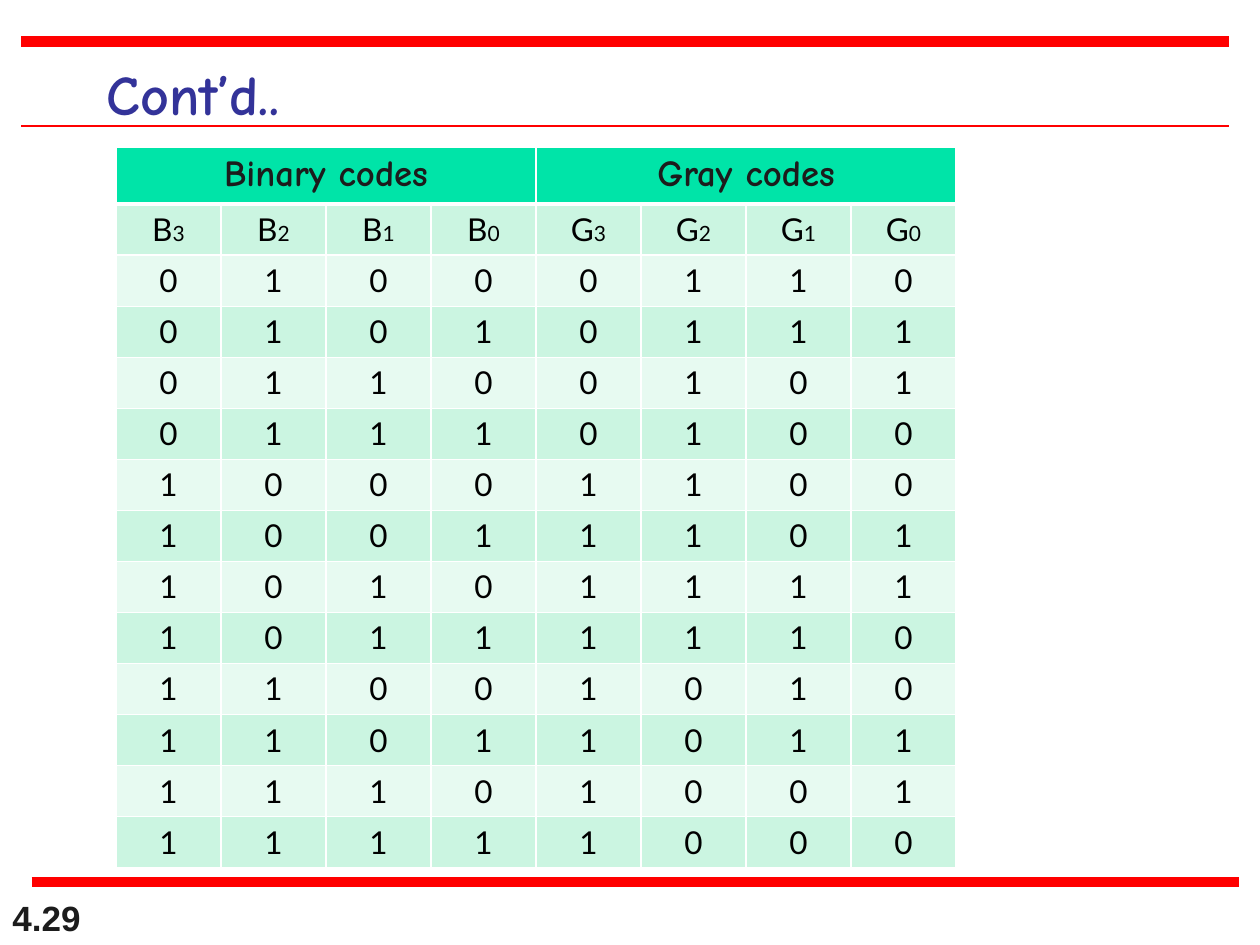
import lxml.etree
import pptx
import pptx.dml.color
import pptx.enum.shapes
import pptx.enum.text
import pptx.oxml.ns
import pptx.util

Inches = pptx.util.Inches
Pt = pptx.util.Pt

TITLE = "Cont’d.."
PAGE_NUMBER = "4.29"
CODE_GROUPS = ["Binary codes", "Gray codes"]
BIT_NAMES = ["B3", "B2", "B1", "B0", "G3", "G2", "G1", "G0"]
CODES = [
    ("0100", "0110"),
    ("0101", "0111"),
    ("0110", "0101"),
    ("0111", "0100"),
    ("1000", "1100"),
    ("1001", "1101"),
    ("1010", "1111"),
    ("1011", "1110"),
    ("1100", "1010"),
    ("1101", "1011"),
    ("1110", "1001"),
    ("1111", "1000"),
]
# left, top, line width in points
RULES = [(0.17, 0.33, 6), (0.25, 7, 6), (0.17, 1, 1.5)]
RULE_LENGTH = 9.58

COLORS = {
    "rule": "FF0000",
    "title": "333399",
    "dark": "1C1C1C",
    "bit": "000000",
    "header": "00E4A8",
    "band_dark": "CBF5E1",
    "band_light": "E7FAF1",
    "border": "FFFFFF",
}
TABLE_LEFT, TABLE_TOP, TABLE_WIDTH = 0.92, 1.17, 6.67
HEADER_HEIGHT, TABLE_HEIGHT = 0.45, 5.72


def color(name):
    return pptx.dml.color.RGBColor.from_string(COLORS[name])


def style(run, face, size, color_name, bold):
    run.font.name = face
    run.font.size = Pt(size)
    run.font.bold = bold
    run.font.color.rgb = color(color_name)


def add_label(slide, text, box, face, size, color_name, anchor):
    frame = slide.shapes.add_textbox(*map(Inches, box)).text_frame
    frame.word_wrap = True
    frame.vertical_anchor = anchor
    frame.text = text
    style(frame.paragraphs[0].runs[0], face, size, color_name, True)


def add_rule(slide, left, top, width):
    rule = slide.shapes.add_connector(
        pptx.enum.shapes.MSO_CONNECTOR.STRAIGHT,
        Inches(left), Inches(top), Inches(left + RULE_LENGTH), Inches(top))
    rule.line.color.rgb = color("rule")
    rule.line.width = Pt(width)
    lxml.etree.SubElement(rule._element.spPr, pptx.oxml.ns.qn("a:effectLst"))


def set_borders(cell, top, bottom):
    """Border widths are in points; the sides are always 1 pt."""
    properties = cell._tc.get_or_add_tcPr()
    sides = [("lnL", 1), ("lnR", 1), ("lnT", top), ("lnB", bottom)]
    for position, (side, width) in enumerate(sides):
        border = pptx.oxml.parse_xml(
            f'<a:{side} {pptx.oxml.ns.nsdecls("a")} w="{Pt(width)}"><a:solidFill>'
            f'<a:srgbClr val="{COLORS["border"]}"/></a:solidFill></a:{side}>')
        properties.insert(position, border)


def fill_cell(cell, parts, face, color_name, bold):
    """Write the (text, size) parts as the runs of one centred paragraph."""
    paragraph = cell.text_frame.paragraphs[0]
    paragraph.alignment = pptx.enum.text.PP_ALIGN.CENTER
    for text, size in parts:
        run = paragraph.add_run()
        run.text = text
        style(run, face, size, color_name, bold)


def add_code_table(slide):
    row_count, column_count = len(CODES) + 2, len(BIT_NAMES)
    table = slide.shapes.add_table(
        row_count, column_count, Inches(TABLE_LEFT), Inches(TABLE_TOP),
        Inches(TABLE_WIDTH), Inches(TABLE_HEIGHT)).table
    table.first_row = table.horz_banding = False

    for column in table.columns:
        column.width = Inches(TABLE_WIDTH / column_count)
    body_height = (TABLE_HEIGHT - HEADER_HEIGHT) / (row_count - 1)
    for r, row in enumerate(table.rows):
        row.height = Inches(body_height if r else HEADER_HEIGHT)
        band = "header" if r == 0 else "band_dark" if r % 2 else "band_light"
        for cell in row.cells:
            cell.fill.solid()
            cell.fill.fore_color.rgb = color(band)
            set_borders(cell, 3 if r == 1 else 1, 3 if r == 0 else 1)

    span = column_count // len(CODE_GROUPS)
    for g, group in enumerate(CODE_GROUPS):
        first = table.cell(0, g * span)
        first.merge(table.cell(0, (g + 1) * span - 1))
        fill_cell(first, [(group, 21)], "Comic Neue", "dark", True)

    bit_rows = [[[(name[0], 18), (name[1], 12)] for name in BIT_NAMES]]
    bit_rows += [[[(bit, 18)] for bit in binary + gray] for binary, gray in CODES]
    for r, bits in enumerate(bit_rows, start=1):
        for c, parts in enumerate(bits):
            fill_cell(table.cell(r, c), parts, "Lato", "bit", False)


def main():
    deck = pptx.Presentation()
    deck.slide_width, deck.slide_height = Inches(10), Inches(7.5)
    slide = deck.slides.add_slide(deck.slide_layouts[6])
    anchors = pptx.enum.text.MSO_ANCHOR

    add_label(slide, PAGE_NUMBER, (0, 7, 2.08, 0.5), "Arial", 20, "dark", anchors.BOTTOM)
    for rule in RULES:
        add_rule(slide, *rule)
    add_label(slide, TITLE, (0.75, 0.42, 7.92, 0.64), "Comic Neue", 32, "title", anchors.TOP)
    add_code_table(slide)
    deck.save("out.pptx")


if __name__ == "__main__":
    main()
